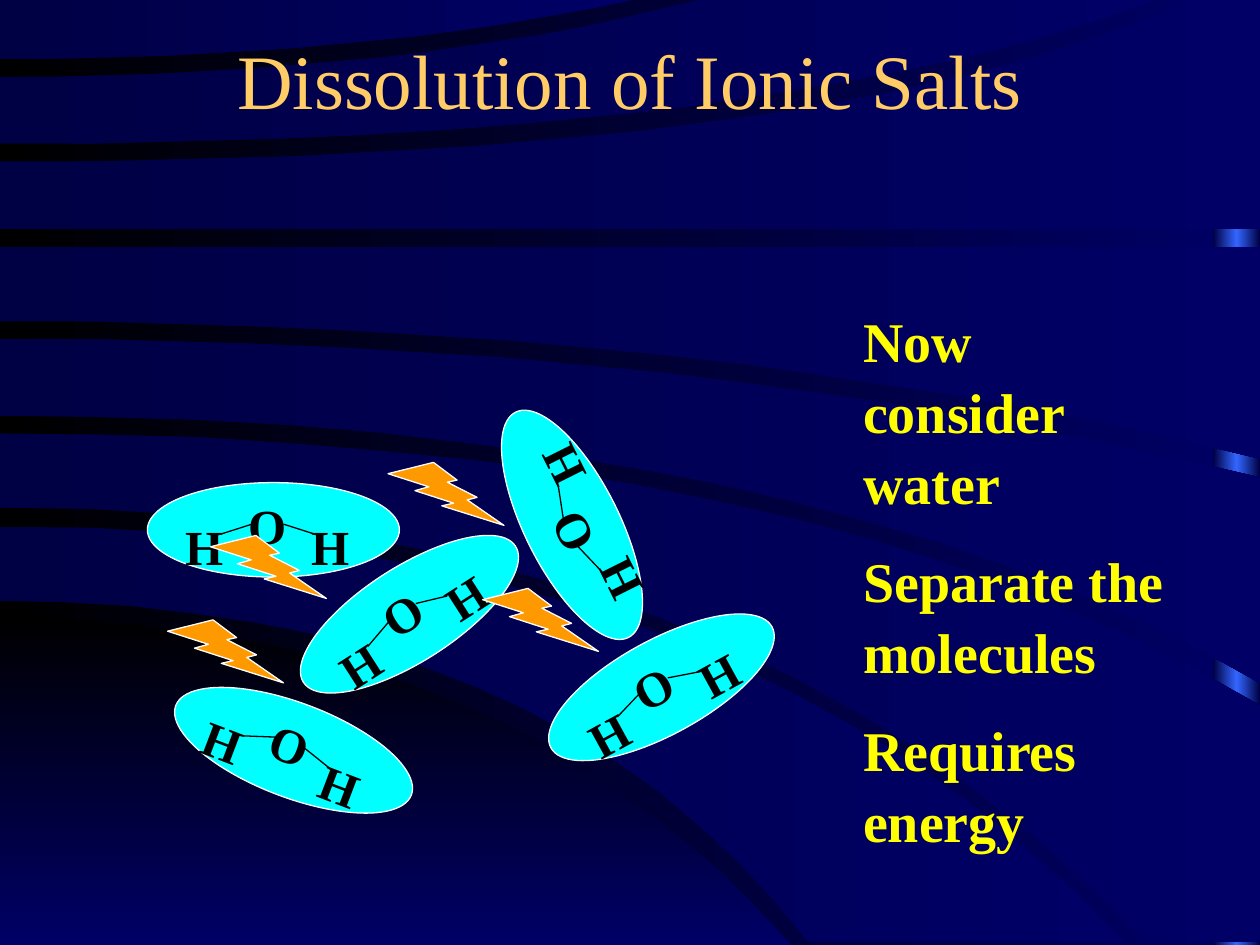
import copy
import math

from pptx import Presentation
from pptx import util as u
from pptx.dml.color import RGBColor
from pptx.enum import shapes, text
from pptx.oxml.ns import qn
from lxml import etree

PX = 9144  # 100 px to the inch
BLACK = RGBColor(0x00, 0x00, 0x00)
WHITE = RGBColor(0xFF, 0xFF, 0xFF)
NIGHT = RGBColor(0x00, 0x00, 0x44)
NAVY = RGBColor(0x00, 0x00, 0x66)
GLOW = RGBColor(0x33, 0x66, 0xFF)
GOLD = RGBColor(0xFF, 0xCC, 0x66)
CYAN = RGBColor(0x00, 0xFF, 0xFF)
YELLOW = RGBColor(0xFF, 0xFF, 0x00)
ORANGE = RGBColor(0xFF, 0x99, 0x00)
STEPS = 16


def set_gradient(fill, colors, angle=0):
    fill.gradient()
    fill.gradient_angle = angle
    first = fill.gradient_stops[0]._gs
    for _ in colors[2:]:
        first.addnext(copy.deepcopy(first))
    for i, (stop, color) in enumerate(zip(fill.gradient_stops, colors)):
        stop.position = i / (len(colors) - 1)
        stop.color.rgb = color


def write(frame, lines, size, color, alignment, before=0, bold=True):
    frame.word_wrap = True
    frame.auto_size = text.MSO_AUTO_SIZE.NONE
    for i, line in enumerate(lines):
        paragraph = frame.paragraphs[0] if i == 0 else frame.add_paragraph()
        paragraph.alignment = alignment
        paragraph.space_before = u.Pt(before if i else 0)
        run = paragraph.add_run()
        run.text = line
        run.font.name = "Times New Roman"
        run.font.size = u.Pt(size)
        run.font.bold = bold
        run.font.color.rgb = color


presentation = Presentation()
presentation.slide_width = 1000 * PX
presentation.slide_height = 750 * PX
slide = presentation.slides.add_slide(presentation.slide_layouts[1])
title, body = slide.placeholders

# Background: gradient and a glowing strip at the right
set_gradient(slide.background.fill, [BLACK, NAVY])
strip = slide.shapes.add_shape(
    shapes.MSO_SHAPE.RECTANGLE, 963 * PX, 0, 37 * PX, 750 * PX)
strip.shadow.inherit = False
strip.line.fill.background()
set_gradient(strip.fill, [NIGHT, GLOW, NIGHT])

# Curved bands: upper and lower edge as start y, bend x, end x, end y
bands = [
    ((491, 403, 628, 750), (750, 314, 628, 750)),
    ((418, 585, 893, 748), (477, 434, 642, 748)),
    ((344, 640, 1000, 560), (403, 588, 909, 748)),
    ((269, 554, 1000, 379), (330, 630, 1000, 542)),
    ((196, 500, 1000, 196), (255, 562, 1000, 364)),
    ((128, 668, 943, 0), (182, 500, 1000, 182)),
    ((61, 322, 556, 0), (114, 612, 917, 0)),
    ((0, 250, 501, 0), (47, 280, 501, 0)),
]
for i, band in enumerate(bands):
    upper, lower = [
        [(round(2 * t * (1 - t) * bend + t * t * end_x),
          round(start + t * t * (end_y - start)))
         for t in (step / STEPS for step in range(STEPS + 1))]
        for start, bend, end_x, end_y in band]
    (upper_x, upper_y), (lower_x, lower_y) = upper[-1], lower[-1]
    corner = (lower_x, upper_y) if upper_x < lower_x else (upper_x, lower_y)
    points = upper + [corner] + lower[::-1]
    builder = slide.shapes.build_freeform(*points[0], scale=PX)
    builder.add_line_segments(points[1:], close=True)
    shape = builder.convert_to_shape()
    shape.shadow.inherit = False
    shape.line.fill.background()
    if i == 0:
        set_gradient(shape.fill, [BLACK, NAVY], 270)
    else:
        set_gradient(shape.fill, [NIGHT, NAVY])

# Title and list, in front of the background
for placeholder, box in ((title, (75, 0, 850, 125)), (body, (675, 233, 275, 383))):
    slide.shapes._spTree.append(placeholder._element)
    placeholder.left, placeholder.top, placeholder.width, placeholder.height = (
        n * PX for n in box)
title.text_frame.vertical_anchor = text.MSO_ANCHOR.MIDDLE
write(title.text_frame, ["Dissolution of Ionic Salts"], 44, GOLD,
      text.PP_ALIGN.CENTER, bold=False)
body.text_frame.vertical_anchor = text.MSO_ANCHOR.TOP
body.text_frame.margin_top = 8 * PX
write(body.text_frame,
      ["Now consider water", "Separate the molecules", "Requires energy"],
      32, YELLOW, text.PP_ALIGN.LEFT, before=16)
for paragraph in body.text_frame.paragraphs:
    paragraph.line_spacing = 1.05
    properties = paragraph._p.get_or_add_pPr()
    properties.set("marL", "0")
    properties.set("indent", "0")
    etree.SubElement(properties, qn("a:buNone"))

# Water molecules: one layout around the centre, turned by an angle
atoms = [("H", -55, 8), ("H", 45, 8), ("O", -5, -9)]
bonds = [((-42, 4), (-17, -4)), ((33, 4), (8, -4))]
molecules = [(325, 487, 327.3), (217, 420, 0), (454, 416, 243.4),
             (525, 545, 331.3), (233, 595, 20.8)]
for center_x, center_y, angle in molecules:
    cos, sin = math.cos(math.radians(angle)), math.sin(math.radians(angle))
    group = slide.shapes.add_group_shape()
    ellipse = group.shapes.add_shape(
        shapes.MSO_SHAPE.OVAL, (center_x - 100) * PX, (center_y - 37) * PX,
        200 * PX, 75 * PX)
    ellipse.rotation = angle
    ellipse.shadow.inherit = False
    ellipse.fill.solid()
    ellipse.fill.fore_color.rgb = CYAN
    ellipse.line.color.rgb = WHITE
    ellipse.line.width = u.Pt(0.75)
    for symbol, x, y in atoms:
        left = round(center_x + x * cos - y * sin - 29)
        top = round(center_y + x * sin + y * cos - 28)
        atom = group.shapes.add_textbox(left * PX, top * PX, 58 * PX, 57 * PX)
        atom.rotation = angle
        atom.text_frame.margin_top = 8 * PX
        write(atom.text_frame, [symbol], 28, BLACK, text.PP_ALIGN.CENTER)
        atom.text_frame.paragraphs[0].line_spacing = 1.05
    for bond in bonds:
        ends = [round(n) * PX for x, y in bond
                for n in (center_x + x * cos - y * sin,
                          center_y + x * sin + y * cos)]
        line = group.shapes.add_connector(shapes.MSO_CONNECTOR.STRAIGHT, *ends)
        line.line.color.rgb = BLACK
        line.line.width = u.Pt(0.75)
        etree.SubElement(line._element.spPr, qn("a:effectLst"))

# Energy bolts
for left, top in ((308, 367), (133, 492), (383, 467), (167, 425)):
    bolt = slide.shapes.add_shape(
        shapes.MSO_SHAPE.LIGHTNING_BOLT, left * PX, top * PX, 92 * PX, 50 * PX)
    bolt.shadow.inherit = False
    bolt.fill.solid()
    bolt.fill.fore_color.rgb = ORANGE
    bolt.line.color.rgb = WHITE
    bolt.line.width = u.Pt(0.75)

presentation.save("out.pptx")
